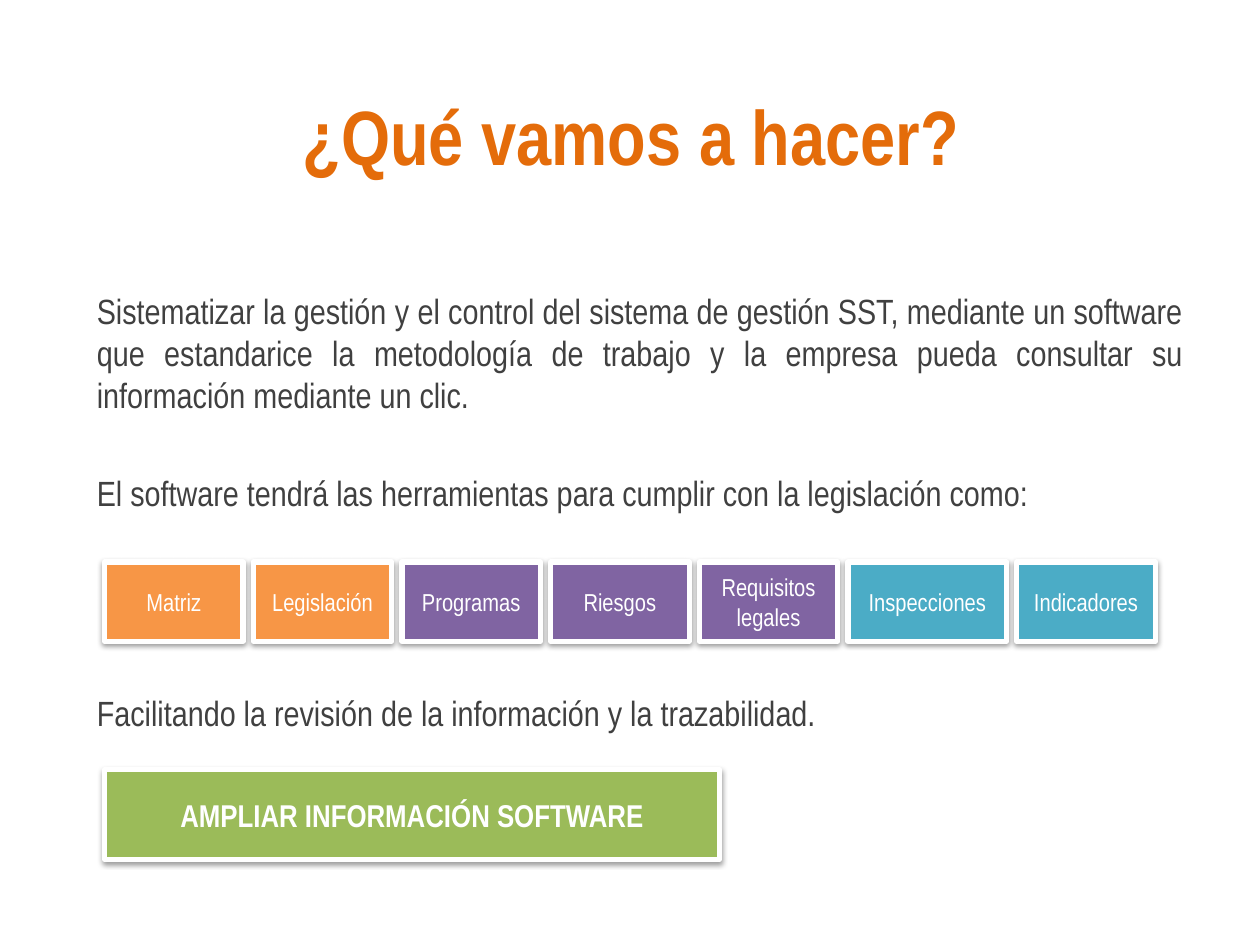
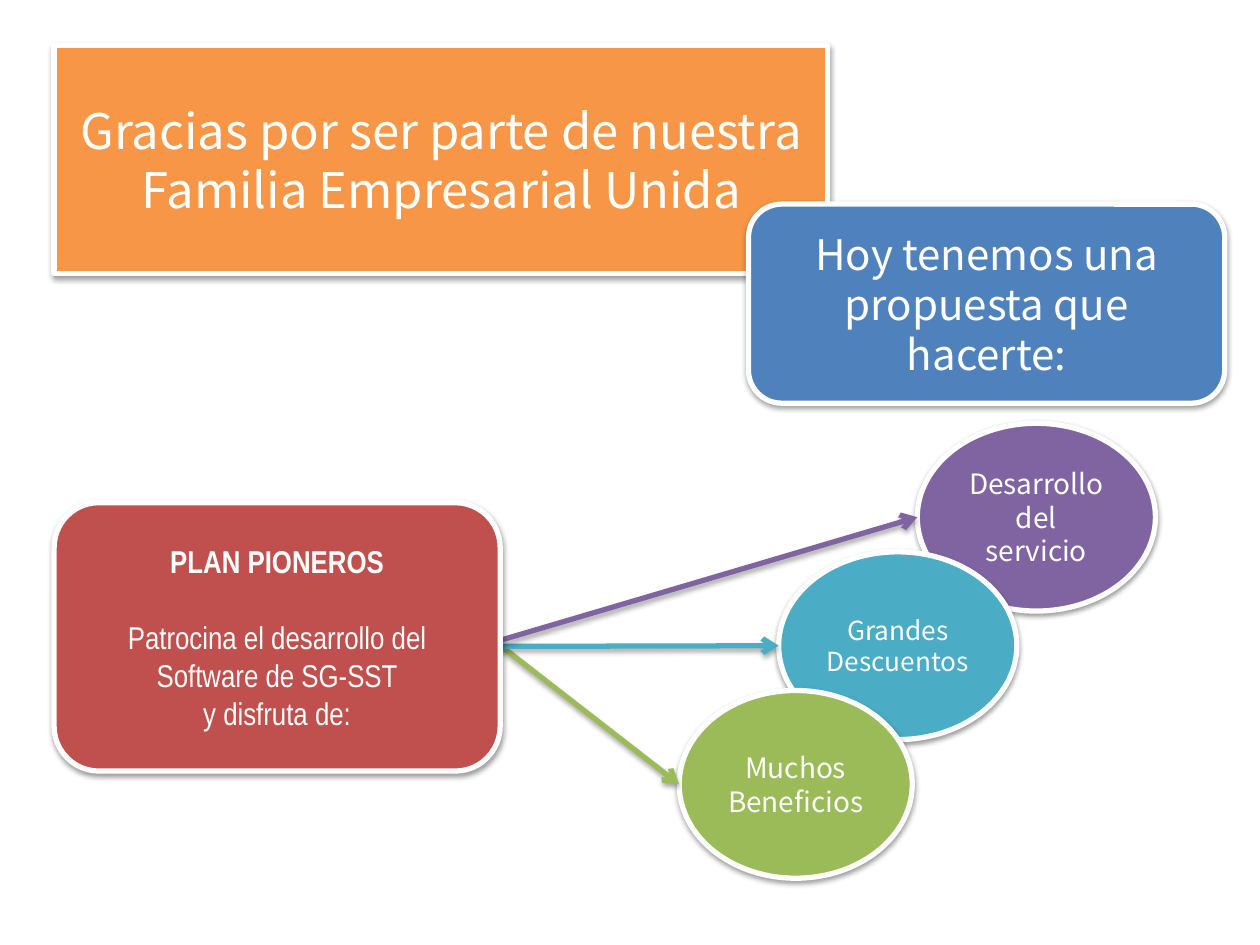
from dataclasses import dataclass

from lxml import etree
from pptx import Presentation
from pptx.dml.color import RGBColor
from pptx.enum.shapes import MSO_CONNECTOR, MSO_SHAPE
from pptx.enum.text import MSO_ANCHOR, PP_ALIGN
from pptx.oxml.ns import qn
from pptx.util import Inches, Pt

RECTANGLE = MSO_SHAPE.RECTANGLE
ROUNDED = MSO_SHAPE.ROUNDED_RECTANGLE
OVAL = MSO_SHAPE.OVAL
STRAIGHT = MSO_CONNECTOR.STRAIGHT
MIDDLE, TOP = MSO_ANCHOR.MIDDLE, MSO_ANCHOR.TOP
CENTER, JUSTIFY, LEFT = PP_ALIGN.CENTER, PP_ALIGN.JUSTIFY, PP_ALIGN.LEFT


@dataclass(frozen=True)
class Theme:
    """Colours, fonts and type sizes shared by the slides."""
    white: str = "FFFFFF"
    black: str = "000000"
    body_text: str = "404040"
    title_text: str = "E46C0A"
    orange: str = "F79646"
    purple: str = "8064A2"
    teal: str = "4BACC6"
    green: str = "9BBB59"
    blue: str = "4F81BD"
    red: str = "C0504D"
    narrow: str = "Arial Narrow"
    sans: str = "Noto Sans CJK SC"
    title: int = 44
    welcome: int = 28
    proposal: int = 24
    body: int = 20
    strong: int = 18
    benefit: int = 16
    benefit_small: int = 15
    tool: int = 14
    border: int = 3


THEME = Theme()


def add_shadow(element, opacity, distance):
    """Cast a soft shadow straight down."""
    properties = element.spPr
    for effects in properties.findall(qn("a:effectLst")):
        properties.remove(effects)
    effects = etree.SubElement(properties, qn("a:effectLst"))
    shadow = etree.SubElement(effects, qn("a:outerShdw"), blurRad=str(Pt(3.1)),
                              dist=str(Pt(distance)), dir="5400000", rotWithShape="0")
    colour = etree.SubElement(shadow, qn("a:srgbClr"), val=THEME.black)
    etree.SubElement(colour, qn("a:alpha"), val=str(opacity * 1000))


def write(frame, lines, size, colour, font, align=CENTER, anchor=MIDDLE, bold=False):
    """Fill a text frame with paragraphs of one style."""
    frame.word_wrap = True
    frame.vertical_anchor = anchor
    for index, line in enumerate(lines):
        paragraph = frame.paragraphs[0] if index == 0 else frame.add_paragraph()
        paragraph.text = line
        paragraph.alignment = align
        paragraph.font.size = Pt(size)
        paragraph.font.name = font
        paragraph.font.bold = bold
        paragraph.font.color.rgb = RGBColor.from_string(colour)


def add_text(slide, box, lines, size, colour, **style):
    """Place plain text in a box."""
    frame = slide.shapes.add_textbox(*map(Inches, box)).text_frame
    write(frame, lines, size, colour, THEME.narrow, **style)
    return frame


def add_card(slide, outline, box, fill, lines, size, font=THEME.narrow, bold=False):
    """Place a filled, white-edged card with centred text."""
    card = slide.shapes.add_shape(outline, *map(Inches, box))
    card.fill.solid()
    card.fill.fore_color.rgb = RGBColor.from_string(fill)
    card.line.color.rgb = RGBColor.from_string(THEME.white)
    card.line.width = Pt(THEME.border)
    card.shadow.inherit = False
    add_shadow(card._element, 38, 1.6)
    write(card.text_frame, lines, size, THEME.white, font, bold=bold)
    return card.text_frame


def add_arrow(slide, start, end, colour):
    """Draw a shadowed arrow between two points."""
    arrow = slide.shapes.add_connector(STRAIGHT, *map(Inches, start + end))
    arrow.line.color.rgb = RGBColor.from_string(colour)
    arrow.line.width = Pt(THEME.border)
    etree.SubElement(arrow.line._get_or_add_ln(), qn("a:tailEnd"), type="arrow")
    add_shadow(arrow._element, 35, 1.8)


def add_tools(slide, box):
    """Lay the tool cards in a row with equal gaps."""
    left, top, width, height = box
    gap = 0.08
    tools = [
        ("Matriz", THEME.orange, width),
        ("Legislación", THEME.orange, width),
        ("Programas", THEME.purple, width),
        ("Riesgos", THEME.purple, width),
        ("Requisitos legales", THEME.purple, width),
        ("Inspecciones", THEME.teal, 1.26),
        ("Indicadores", THEME.teal, width),
    ]
    for name, colour, tool_width in tools:
        add_card(slide, RECTANGLE, (left, top, tool_width, height), colour, [name], THEME.tool)
        left += tool_width + gap


def add_benefits(slide, origin, height):
    """Draw the overlapping benefits and the arrows that lead to them."""
    benefits = [
        (7.28, 3.36, 1.89, THEME.purple, ["Desarrollo del servicio"], THEME.benefit),
        (6.18, 4.38, 1.89, THEME.teal, ["Grandes Descuentos"], THEME.benefit_small),
        (5.39, 5.48, 1.85, THEME.green, ["Muchos", "Beneficios"], THEME.benefit),
    ]
    for left, top, width, colour, lines, size in benefits:
        add_card(slide, OVAL, (left, top, width, height), colour, lines, size, THEME.sans)
    for left, top, _, colour, *_ in reversed(benefits):
        start = (3.74, 5.15) if colour == THEME.purple else origin
        add_arrow(slide, start, (left, top + height / 2), colour)


def build_plan_slide(slide):
    """Build the slide on what the software will do."""
    purpose = add_text(slide, (0.67, 2.25, 8.82, 2.05), [
        "Sistematizar la gestión y el control del sistema de gestión SST, mediante un software "
        "que estandarice la metodología de trabajo y la empresa pueda consultar su información "
        "mediante un clic.",
        "El software tendrá las herramientas para cumplir con la legislación como:",
    ], THEME.body, THEME.body_text, align=JUSTIFY, anchor=TOP)
    purpose.paragraphs[1].space_before = Pt(32)
    add_text(slide, (0.51, 0.44, 9, 1.25), ["¿Qué vamos a hacer?"],
             THEME.title, THEME.title_text, bold=True)
    add_text(slide, (0.67, 5.44, 8.82, 0.44),
             ["Facilitando la revisión de la información y la trazabilidad."],
             THEME.body, THEME.body_text, align=LEFT, anchor=TOP)
    add_tools(slide, (0.83, 4.46, 1.1, 0.63))
    add_card(slide, RECTANGLE, (0.83, 6.11, 4.88, 0.71), THEME.green,
             ["AMPLIAR INFORMACIÓN SOFTWARE"], THEME.strong, bold=True)


def build_offer_slide(slide):
    """Build the slide with thanks and the sponsorship offer."""
    add_card(slide, RECTANGLE, (0.43, 0.36, 6.14, 1.81), THEME.orange,
             ["Gracias por ser parte de nuestra Familia Empresarial Unida"],
             THEME.welcome, THEME.sans)
    add_benefits(slide, (3.98, 5.13), 1.49)
    add_card(slide, ROUNDED, (5.94, 1.62, 3.78, 1.58), THEME.blue,
             ["Hoy tenemos una propuesta que hacerte:"], THEME.proposal, THEME.sans)
    sponsorship = add_card(slide, ROUNDED, (0.43, 3.99, 3.54, 2.13), THEME.red, [
        "PLAN PIONEROS",
        "Patrocina el desarrollo del Software de SG-SST",
        "y disfruta de:",
    ], THEME.strong)
    heading, invitation, _ = sponsorship.paragraphs
    heading.font.bold = True
    invitation.space_before = Pt(21.6)


def main():
    """Build and save the presentation."""
    deck = Presentation()
    deck.slide_width, deck.slide_height = Inches(10), Inches(7.5)
    blank = deck.slide_layouts[6]
    for build in (build_plan_slide, build_offer_slide):
        build(deck.slides.add_slide(blank))
    deck.save("out.pptx")


if __name__ == "__main__":
    main()
